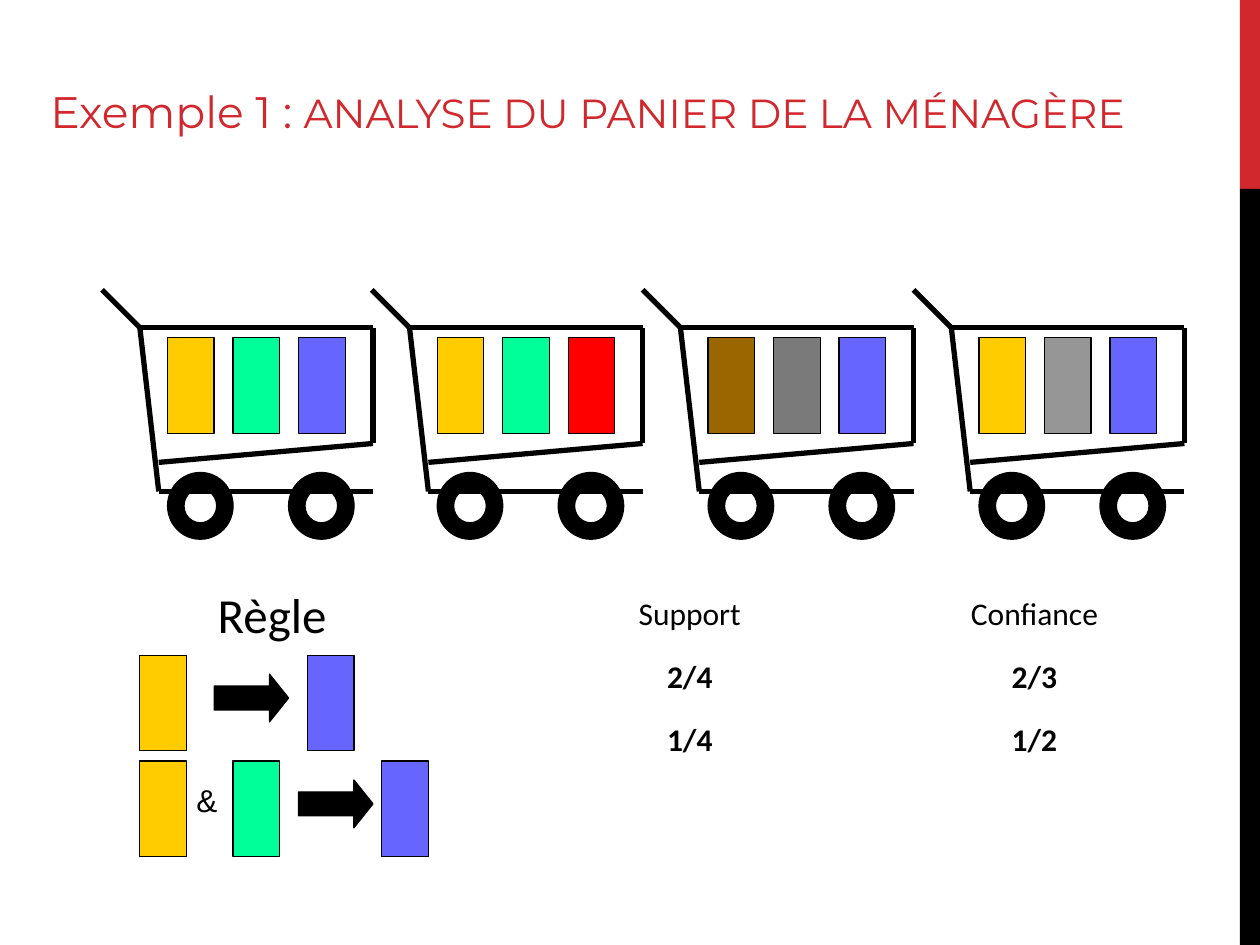
from pptx import Presentation
from pptx.dml.color import RGBColor
from pptx.enum.shapes import MSO_CONNECTOR, MSO_SHAPE
from pptx.enum.text import MSO_ANCHOR, MSO_AUTO_SIZE, PP_ALIGN
from pptx.util import Emu, Pt
from lxml import etree
from dataclasses import dataclass

RECT, ARROW, DONUT = MSO_SHAPE.RECTANGLE, MSO_SHAPE.RIGHT_ARROW, MSO_SHAPE.DONUT
STRAIGHT = MSO_CONNECTOR.STRAIGHT
LEFT, CENTER = PP_ALIGN.LEFT, PP_ALIGN.CENTER
BOTTOM = MSO_ANCHOR.BOTTOM
FIT_SHAPE, FIT_NONE = MSO_AUTO_SIZE.SHAPE_TO_FIT_TEXT, MSO_AUTO_SIZE.NONE
A_NS = "http://schemas.openxmlformats.org/drawingml/2006/main"
PX = 9144  # 100 px to the inch


@dataclass(frozen=True)
class Theme:
    accent: str = "D1282E"
    black: str = "000000"
    yellow: str = "FFCC00"
    green: str = "00FF99"
    blue: str = "6666FF"
    red: str = "FF0000"
    brown: str = "996600"
    dark_grey: str = "7A7A7A"
    grey: str = "969696"
    title_font: str = "Montserrat"
    body_font: str = "Calibri"
    symbol_font: str = "Arial"
    title_size: float = 25.2
    caps_size: float = 23.2
    heading_size: float = 28
    body_size: float = 18
    frame_width: float = 3
    thin_width: float = 0.75


T = Theme()


def write(p, text, font=T.body_font, size=T.body_size, color=T.black, bold=False, align=LEFT):
    p.alignment = align
    r = p.add_run()
    r.text = text
    r.font.name, r.font.size, r.font.bold = font, Pt(size), bold
    r.font.color.rgb = RGBColor.from_string(color)


def add_shape(shapes, kind, x, y, w, h, fill, outlined=True):
    sp = shapes.add_shape(kind, *(Emu(v * PX) for v in (x, y, w, h)))
    sp.shadow.inherit = False
    sp.fill.solid()
    sp.fill.fore_color.rgb = RGBColor.from_string(fill)
    if outlined:
        sp.line.color.rgb = RGBColor.from_string(T.black)
        sp.line.width = Pt(T.thin_width)
    else:
        sp.line.fill.background()
    return sp


prs = Presentation()
prs.slide_width, prs.slide_height = Emu(1000 * PX), Emu(750 * PX)
s = prs.slides.add_slide(prs.slide_layouts[5])

# Side band
add_shape(s.shapes, RECT, 984, 0, 16, 150, T.accent, outlined=False)
add_shape(s.shapes, RECT, 984, 150, 16, 600, T.black, outlined=False)

# Title
title = s.shapes.title
title.left, title.top, title.width, title.height = (Emu(v * PX) for v in (30, 43, 924, 71))
tf = title.text_frame
tf.auto_size, tf.vertical_anchor = FIT_NONE, BOTTOM
p = tf.paragraphs[0]
write(p, "Exemple 1 : ", font=T.title_font, size=T.title_size, color=T.accent)
write(p, "ANALYSE DU PANIER DE LA MÉNAGÈRE", font=T.title_font, size=T.caps_size, color=T.accent)

# Shopping carts with their three products
CART_BARS = [  # x offset and y of both ends
    (30, 260, 0, 230),
    (30, 260, 45, 390),
    (45, 367, 215, 352),
    (215, 352, 215, 260),
    (30, 260, 215, 260),
    (45, 390, 215, 390),
]
WHEEL_OFFSETS = (52, 148)
ITEM_W, ITEM_H, ITEM_PITCH = 37, 76, 52
carts = [
    (T.yellow, T.green, T.blue),
    (T.yellow, T.green, T.red),
    (T.brown, T.dark_grey, T.blue),
    (T.yellow, T.grey, T.blue),
]
for i, products in enumerate(carts):
    left = 81 + 644 * i // 3
    cart = s.shapes.add_group_shape()
    for x1, y1, x2, y2 in CART_BARS:
        ends = (left + x1, y1, left + x2, y2)
        bar = cart.shapes.add_connector(STRAIGHT, *(Emu(v * PX) for v in ends))
        bar.line.color.rgb = RGBColor.from_string(T.black)
        bar.line.width = Pt(T.frame_width)
        etree.SubElement(bar._element.spPr, f"{{{A_NS}}}effectLst")
    for dx in WHEEL_OFFSETS:
        wheel = add_shape(cart.shapes, DONUT, left + dx, 375, 52, 53, T.black)
        wheel.adjustments[0] = 0.25
    for j, color in enumerate(products):
        add_shape(s.shapes, RECT, left + 52 + j * ITEM_PITCH, 268, ITEM_W, ITEM_H, color)

# Products and arrows of the two rules
rules = [
    (520, [(111, T.yellow), (244, T.blue)], 170),
    (604, [(111, T.yellow), (185, T.green), (303, T.blue)], 237),
]
for top, products, arrow_x in rules:
    for x, color in products:
        add_shape(s.shapes, RECT, x, top, ITEM_W, ITEM_H, color)
    arrow = add_shape(s.shapes, ARROW, arrow_x, top + 15, 59, 38, T.black)
    arrow.adjustments[0], arrow.adjustments[1] = 0.5, 0.4

# Labels and measures
regular = dict(align=CENTER)
strong = dict(align=CENTER, bold=True)
labels = [
    ((163, 459, 133, 57), None, [("Règle", dict(size=T.heading_size))]),
    ((146, 615, 46, 50), None, [("&", dict(font=T.symbol_font))]),
    ((481, 459, 133, 154), 1.25, [("Support", regular), ("2/4", strong), ("1/4", strong)]),
    ((725, 459, 192, 154), 1.25, [("Confiance", regular), ("2/3", strong), ("1/2", strong)]),
]
for box, spacing, lines in labels:
    tf = s.shapes.add_textbox(*(Emu(v * PX) for v in box)).text_frame
    tf.word_wrap, tf.auto_size = True, FIT_SHAPE
    for k, (text, fmt) in enumerate(lines):
        p = tf.add_paragraph() if k else tf.paragraphs[0]
        if spacing:
            p.line_spacing = spacing
        if k:
            p.space_before = Pt(9)
        write(p, text, **fmt)

prs.save("out.pptx")
